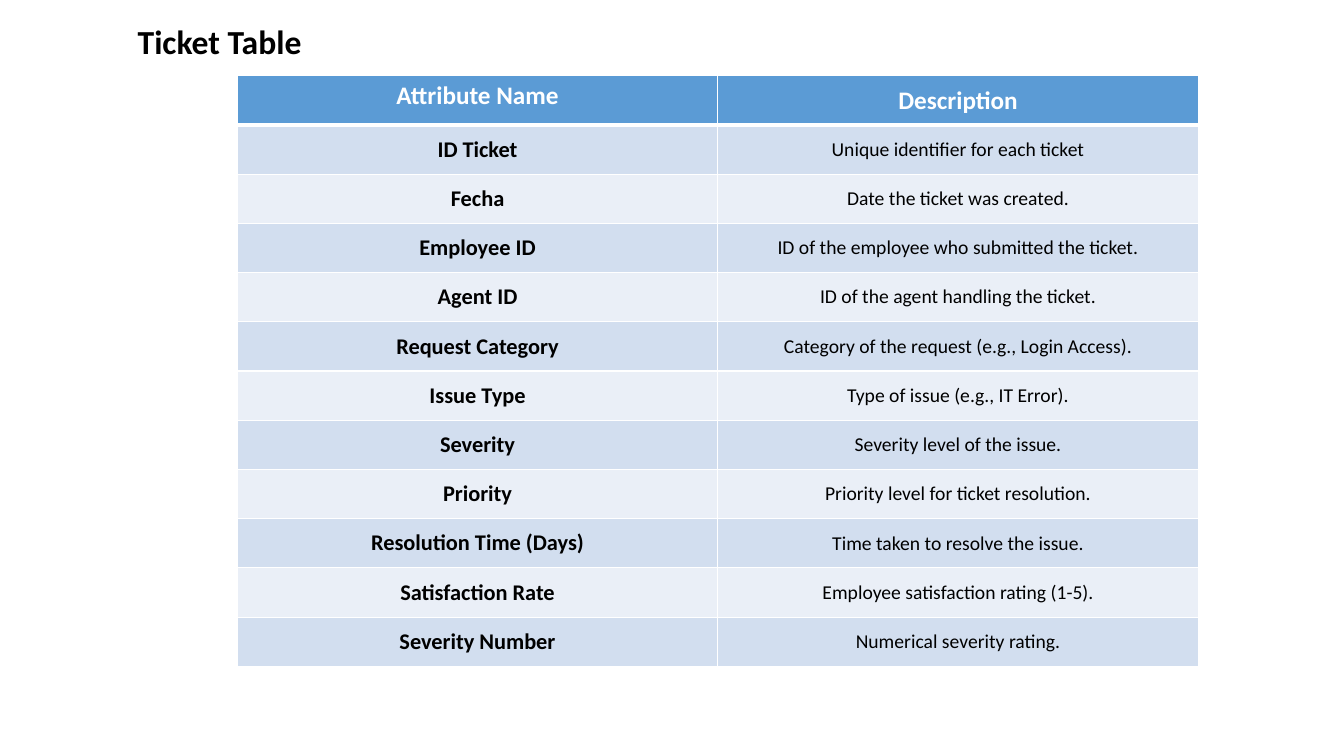
from dataclasses import dataclass

from lxml.etree import SubElement
from pptx import Presentation
from pptx.dml.color import RGBColor as RGB
from pptx.enum.text import MSO_ANCHOR as Anchor, PP_ALIGN as Align
from pptx.oxml.ns import qn
from pptx.util import Cm, Pt


@dataclass(frozen=True)
class Theme:
    font: str = "Calibri"
    white: str = "FFFFFF"
    black: str = "000000"
    header: str = "5B9BD5"
    bands: tuple = ("D2DEEF", "EAEFF7")
    title_size: int = 24
    header_size: int = 18
    name_size: int = 16
    description_size: int = 14


theme = Theme()


def style_text(frame, size, color, bold):
    paragraph = frame.paragraphs[0]
    paragraph.alignment = Align.CENTER
    font = paragraph.font
    font.name, font.size, font.bold = theme.font, Pt(size), bold
    font.color.rgb = RGB.from_string(color)
    return paragraph


def add_borders(cell, top, bottom):
    # Border lines must precede the fill inside the cell properties
    properties = cell._tc.get_or_add_tcPr()
    widths = {"lnL": 1, "lnR": 1, "lnT": top, "lnB": bottom}
    for position, (side, width) in enumerate(widths.items()):
        line = SubElement(properties, qn(f"a:{side}"), w=str(Pt(width)))
        fill = SubElement(line, qn("a:solidFill"))
        SubElement(fill, qn("a:srgbClr"), val=theme.white)
        properties.insert(position, line)


attributes = [
    ("Attribute Name", "Description"),
    ("ID Ticket", "Unique identifier for each ticket"),
    ("Fecha", "Date the ticket was created."),
    ("Employee ID", "ID of the employee who submitted the ticket."),
    ("Agent ID", "ID of the agent handling the ticket."),
    ("Request Category", "Category of the request (e.g., Login Access)."),
    ("Issue Type", "Type of issue (e.g., IT Error)."),
    ("Severity", "Severity level of the issue."),
    ("Priority", "Priority level for ticket resolution."),
    ("Resolution Time (Days)", "Time taken to resolve the issue."),
    ("Satisfaction Rate", "Employee satisfaction rating (1-5)."),
    ("Severity Number", "Numerical severity rating."),
]

# Slide
deck = Presentation()
deck.slide_width, deck.slide_height = Cm(33.87), Cm(19.05)
slide = deck.slides.add_slide(deck.slide_layouts[6])

# Title
title = slide.shapes.add_textbox(Cm(2.08), Cm(0.38), Cm(6.91), Cm(1.3)).text_frame
title.word_wrap = True
title.vertical_anchor = Anchor.BOTTOM
title.text = "Ticket Table"
style_text(title, theme.title_size, theme.black, True).line_spacing = 0.9

# Ticket attributes
ticket_table = slide.shapes.add_table(
    len(attributes), 2, Cm(5.98), Cm(1.91), Cm(24.22), Cm(14.88)
).table

for row, texts in enumerate(attributes):
    is_header = row == 0
    for column, text in enumerate(texts):
        cell = ticket_table.cell(row, column)
        cell.text = text
        if is_header:
            fill, color, size = theme.header, theme.white, theme.header_size
        else:
            fill, color = theme.bands[(row - 1) % 2], theme.black
            size = (theme.name_size, theme.description_size)[column]
        style_text(cell.text_frame, size, color, is_header or column == 0)
        cell.vertical_anchor = Anchor.MIDDLE
        cell.fill.solid()
        cell.fill.fore_color.rgb = RGB.from_string(fill)
        add_borders(cell, top=3 if row == 1 else 1, bottom=3 if is_header else 1)

# The first heading sits at the top of its cell
ticket_table.cell(0, 0).vertical_anchor = Anchor.TOP

deck.save("out.pptx")
